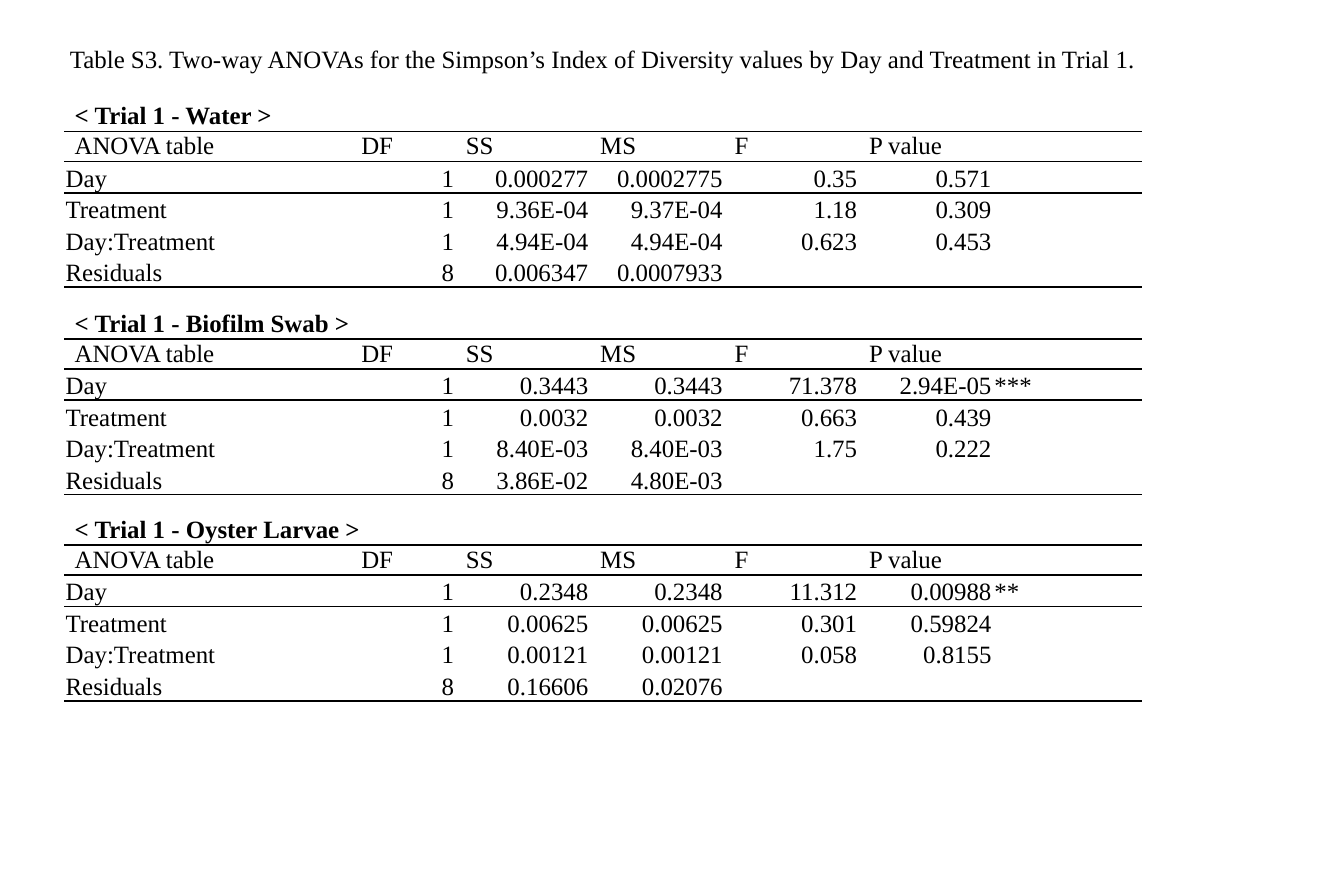
from lxml.etree import SubElement
from pptx import Presentation
from pptx.dml.color import RGBColor
from pptx.enum.text import MSO_ANCHOR, MSO_AUTO_SIZE, PP_ALIGN
from pptx.oxml.ns import qn
from pptx.util import Inches, Pt

NO_STYLE = "{2D5ABB26-0587-4C30-8999-92F81FD0307C}"
COL_WIDTHS = [1.92, 0.7, 0.9, 0.9, 0.9, 0.9, 1]
ROW_HEIGHTS = [0.2, 0.2] + [0.21] * 4
HEADINGS = ["ANOVA table", "DF", "SS", "MS", "F", "P value", ""]
# Sides of each table row that carry a rule
RULES = ["B", "TB", "T", "", "", "B"]

TRIALS = [
    (0.68, "< Trial 1 - Water >", [
        ["Day", "1", "0.000277", "0.0002775", "0.35", "0.571", ""],
        ["Treatment", "1", "9.36E-04", "9.37E-04", "1.18", "0.309", ""],
        ["Day:Treatment", "1", "4.94E-04", "4.94E-04", "0.623", "0.453", ""],
        ["Residuals", "8", "0.006347", "0.0007933", "", "", ""],
    ]),
    (2.07, "< Trial 1 - Biofilm Swab >", [
        ["Day", "1", "0.3443", "0.3443", "71.378", "2.94E-05", "***"],
        ["Treatment", "1", "0.0032", "0.0032", "0.663", "0.439", ""],
        ["Day:Treatment", "1", "8.40E-03", "8.40E-03", "1.75", "0.222", ""],
        ["Residuals", "8", "3.86E-02", "4.80E-03", "", "", ""],
    ]),
    (3.45, "< Trial 1 - Oyster Larvae >", [
        ["Day", "1", "0.2348", "0.2348", "11.312", "0.00988", "**"],
        ["Treatment", "1", "0.00625", "0.00625", "0.301", "0.59824", ""],
        ["Day:Treatment", "1", "0.00121", "0.00121", "0.058", "0.8155", ""],
        ["Residuals", "8", "0.16606", "0.02076", "", "", ""],
    ]),
]


def rgb(color):
    return RGBColor.from_string(color)


class SlideBuilder:
    font, size, ink = "Times New Roman", 12, "000000"

    def __init__(self, s):
        self.s = s

    def add_text(self, p, text, bold=False):
        """Add a run, or keep an empty paragraph at the text size."""
        if not text:
            SubElement(p._p, qn("a:endParaRPr"), sz=str(self.size * 100))
            return
        r = p.add_run()
        r.text = text
        r.font.name = self.font
        r.font.size = Pt(self.size)
        r.font.bold = bold
        r.font.color.rgb = rgb(self.ink)

    def text_box(self, x, y, w, h, text):
        sp = self.s.shapes.add_textbox(Inches(x), Inches(y), Inches(w), Inches(h))
        tf = sp.text_frame
        tf.word_wrap = True
        tf.auto_size = MSO_AUTO_SIZE.SHAPE_TO_FIT_TEXT
        self.add_text(tf.paragraphs[0], text)

    def rule(self, cell, side):
        ln = SubElement(cell._tc.get_or_add_tcPr(), qn("a:ln" + side), w=str(Pt(1)))
        fill = SubElement(ln, qn("a:solidFill"))
        SubElement(fill, qn("a:srgbClr"), val=self.ink)

    def cell(self, cell, text, row, col):
        is_head = row < 2
        side, top = (0.07, 0) if is_head else (0.01, 0.01)
        cell.margin_left = cell.margin_right = Inches(side)
        cell.margin_top, cell.margin_bottom = Inches(top), 0
        cell.vertical_anchor = MSO_ANCHOR.MIDDLE if is_head else MSO_ANCHOR.BOTTOM
        for edge in RULES[row]:
            self.rule(cell, edge)
        cell.fill.background()
        p = cell.text_frame.paragraphs[0]
        if not is_head and 0 < col < 6:
            p.alignment = PP_ALIGN.RIGHT
        self.add_text(p, text, bold=row == 0)

    def anova(self, x, y, title, results):
        rows = [[title] + [""] * 6, HEADINGS] + results
        frame = self.s.shapes.add_table(
            len(rows), len(COL_WIDTHS), Inches(x), Inches(y),
            Inches(sum(COL_WIDTHS)), Inches(sum(ROW_HEIGHTS)))
        table = frame.table
        table.first_row = table.horz_banding = False
        table._tbl.tblPr.find(qn("a:tableStyleId")).text = NO_STYLE
        for column, width in zip(table.columns, COL_WIDTHS):
            column.width = Inches(width)
        for row, height in zip(table.rows, ROW_HEIGHTS):
            row.height = Inches(height)
        table.cell(0, 0).merge(table.cell(0, 5))
        for i, values in enumerate(rows):
            for j, value in enumerate(values):
                self.cell(table.cell(i, j), value, i, j)


def main():
    prs = Presentation()
    prs.slide_width, prs.slide_height = Inches(9), Inches(6)
    builder = SlideBuilder(prs.slides.add_slide(prs.slide_layouts[6]))
    builder.text_box(0.37, 0.24, 7.82, 0.3,
                     "Table S3. Two-way ANOVAs for the Simpson’s Index of Diversity "
                     "values by Day and Treatment in Trial 1.")
    for top, title, results in TRIALS:
        builder.anova(0.43, top, title, results)
    prs.save("out.pptx")


if __name__ == "__main__":
    main()
